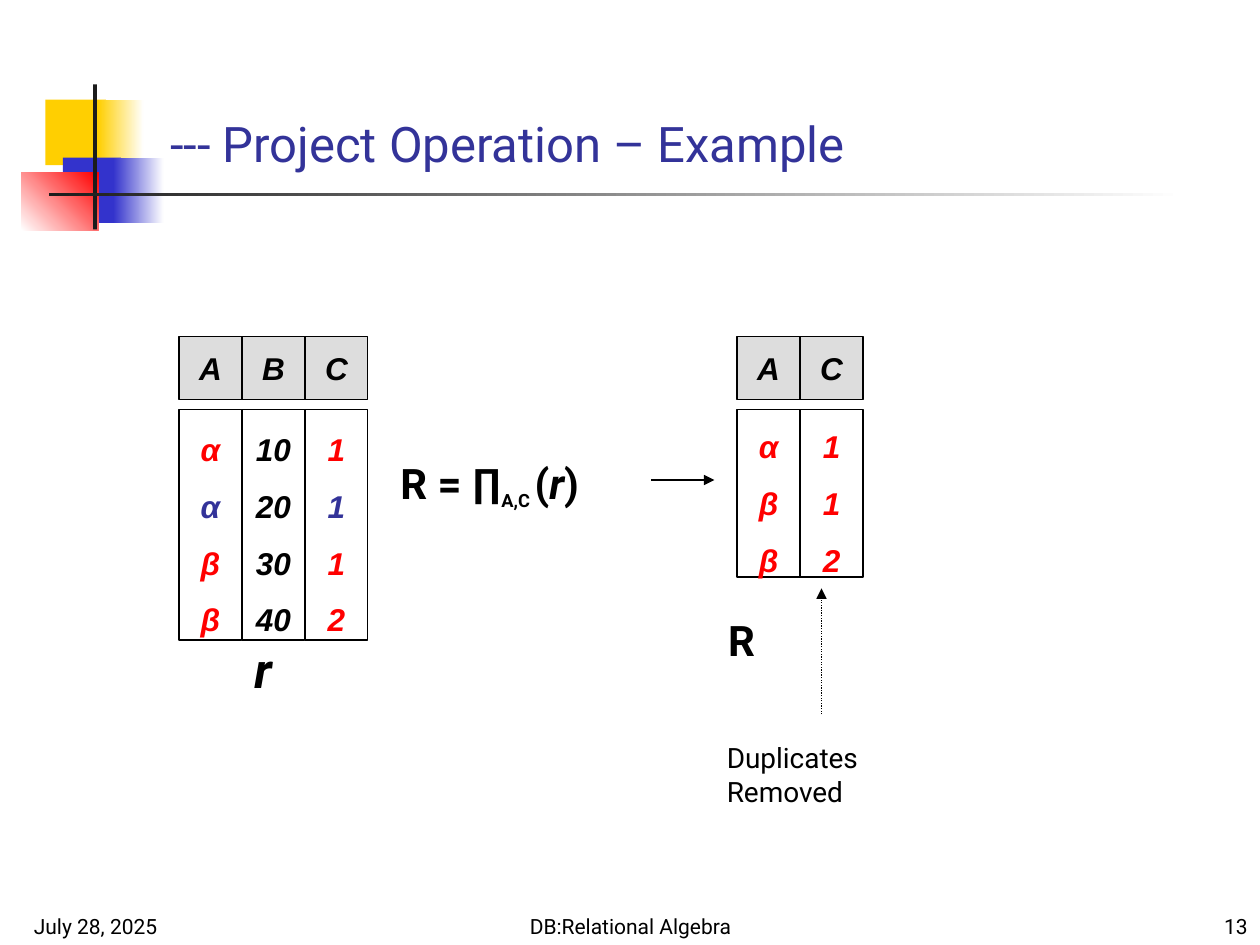
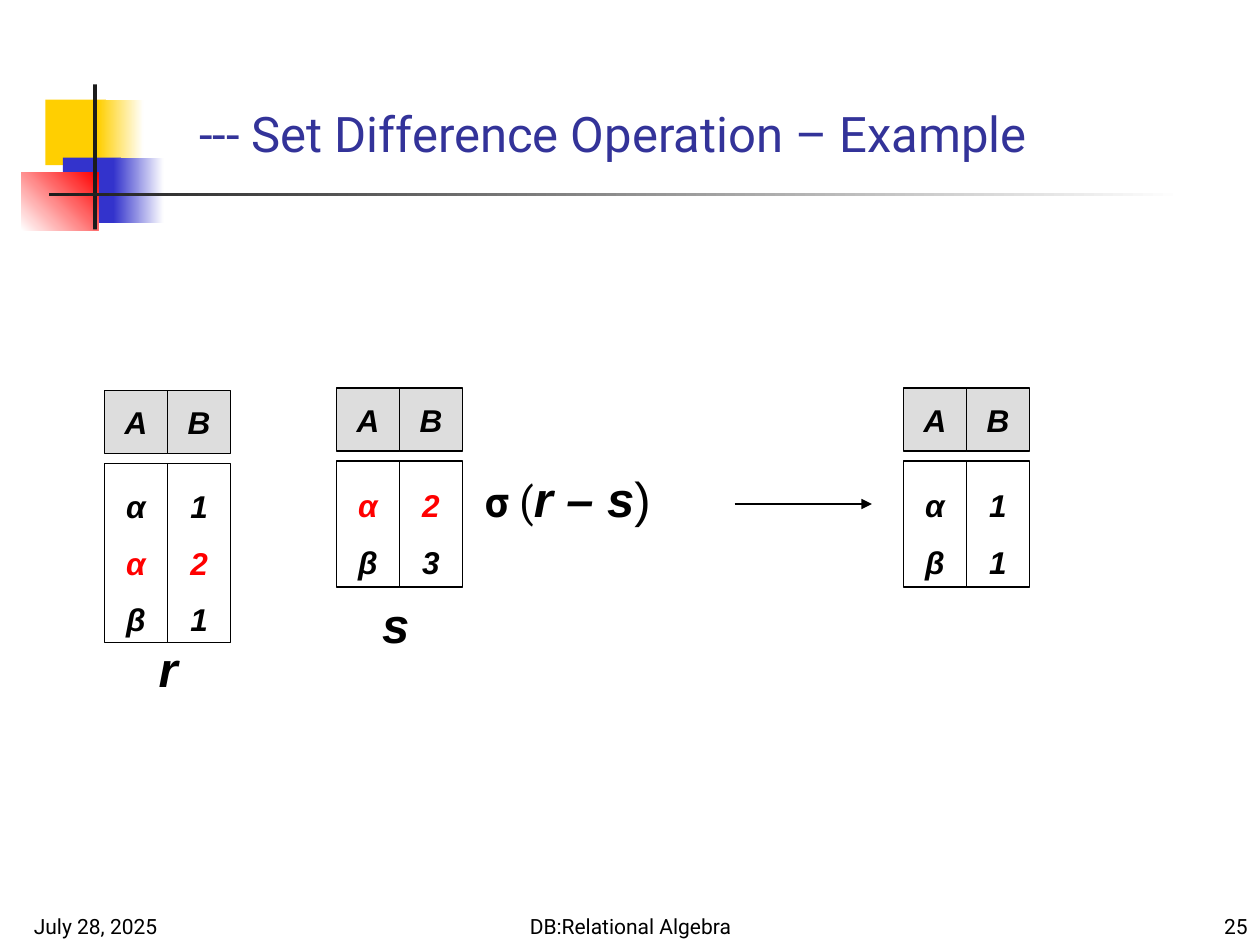
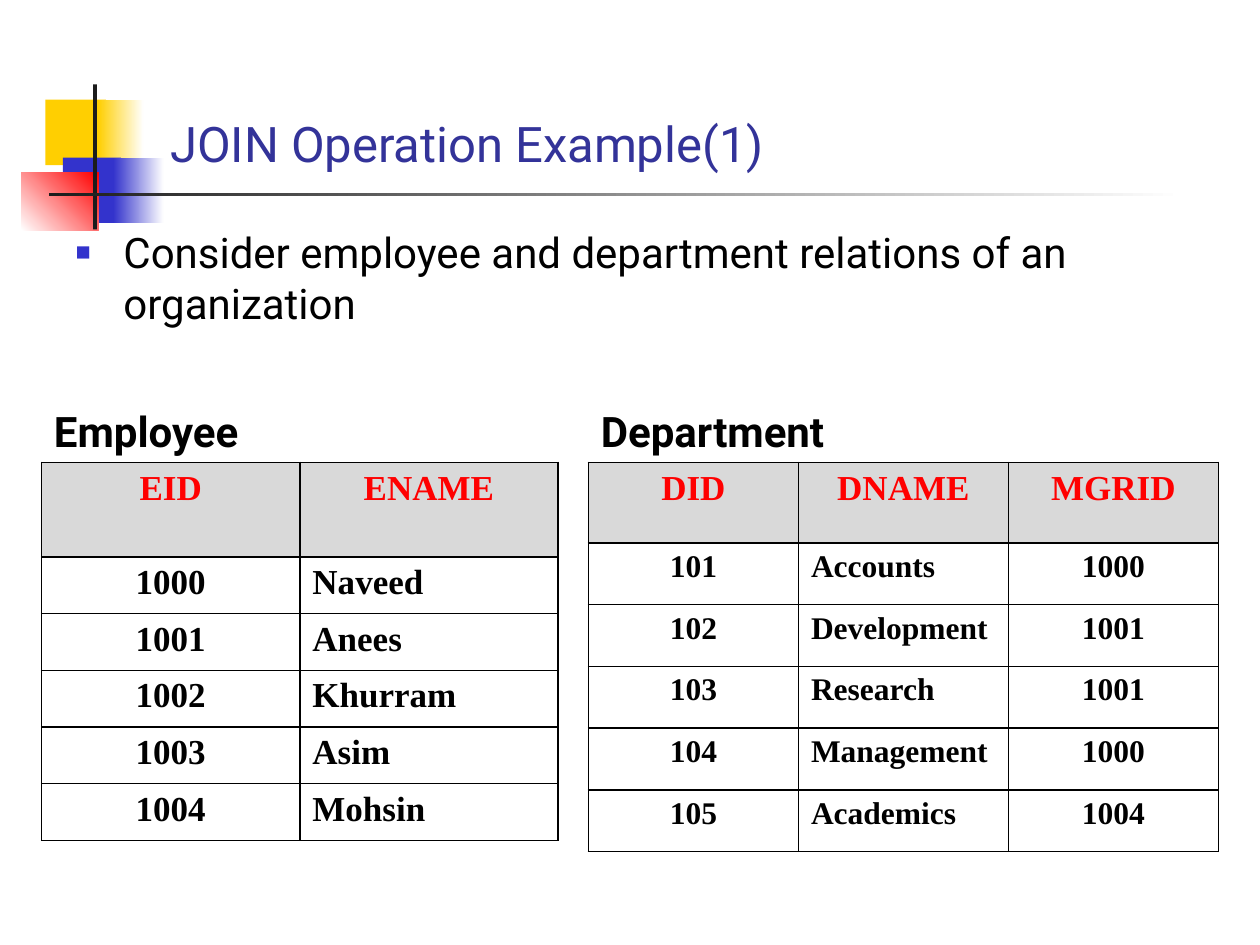
from lxml import etree
from pptx import Presentation
from pptx.dml.color import RGBColor
from pptx.enum.dml import MSO_LINE
from pptx.enum.shapes import MSO_CONNECTOR, MSO_SHAPE
from pptx.enum.text import MSO_ANCHOR, PP_ALIGN
from pptx.oxml import parse_xml
from pptx.oxml.ns import nsdecls, qn
from pptx.util import Inches, Pt

RECTANGLE = MSO_SHAPE.RECTANGLE
STRAIGHT = MSO_CONNECTOR.STRAIGHT
DOTTED = MSO_LINE.ROUND_DOT
LEFT, CENTER, RIGHT = PP_ALIGN.LEFT, PP_ALIGN.CENTER, PP_ALIGN.RIGHT
TOP, MIDDLE, BOTTOM = MSO_ANCHOR.TOP, MSO_ANCHOR.MIDDLE, MSO_ANCHOR.BOTTOM

BLACK, WHITE, RED, NAVY = "000000", "FFFFFF", "FF0000", "333399"
YELLOW, BLUE, CHARCOAL = "FFCF01", "3333CC", "1C1C1C"
HEADER_GRAY, TABLE_GRAY = "DDDDDD", "D9D9D9"
CELL = 0.5
BODY_OFFSET = 0.58

color = RGBColor.from_string


def write(frame, lines, align=LEFT, anchor=TOP, spacing=None, wrap=True, **style):
    frame.word_wrap = wrap
    frame.vertical_anchor = anchor
    for index, line in enumerate(lines):
        para = frame.add_paragraph() if index else frame.paragraphs[0]
        para.alignment = align
        if spacing:
            para.line_spacing = spacing
        for text, changes in line:
            look = {"font": "Roboto", "color": BLACK, "bold": False, "italic": False, **style, **changes}
            span = para.add_run()
            span.text = text
            span.font.name = look["font"]
            span.font.size = Pt(look["size"])
            span.font.bold = look["bold"]
            span.font.italic = look["italic"]
            span.font.color.rgb = color(look["color"])
            if "baseline" in look:
                span._r.get_or_add_rPr().set("baseline", look["baseline"])


def add_block(slide, box, fill, line=None):
    shape = slide.shapes.add_shape(RECTANGLE, *map(Inches, box))
    shape.shadow.inherit = False
    shape.fill.solid()
    shape.fill.fore_color.rgb = color(fill)
    if line:
        shape.line.color.rgb = color(line)
        shape.line.width = Pt(0.75)
    else:
        shape.line.fill.background()
    return shape


deck = Presentation()
deck.slide_width, deck.slide_height = Inches(10), Inches(7.5)
content_layout, title_layout = deck.slide_layouts[1], deck.slide_layouts[5]

titles = [
    (title_layout, "--- Project Operation – Example", 1.25, 0.75),
    (title_layout, "--- Set Difference Operation – Example", 1.48, 0.67),
    (content_layout, "JOIN Operation Example(1)", 1.25, 0.75),
]
pages = []
for layout, heading, left, top in titles:
    page = deck.slides.add_slide(layout)
    title = page.shapes.title
    title.left, title.top, title.width, title.height = map(Inches, (left, top, 8.52, 0.67))
    write(title.text_frame, [[(heading, {})]], anchor=BOTTOM, size=28, color=NAVY)
    pages.append(page)
project, difference, join = pages

ornaments = [
    ((0.36, 0.79, 0.48, 0.52), YELLOW, None, 0),
    ((0.78, 0.79, 0.36, 0.52), YELLOW, WHITE, 0),
    ((0.5, 1.25, 0.46, 0.52), BLUE, None, 0),
    ((0.9, 1.25, 0.4, 0.52), BLUE, WHITE, 0),
    ((0.17, 1.37, 0.61, 0.46), WHITE, RED, 45),
    ((0.74, 0.67, 0.03, 1.15), CHARCOAL, None, 0),
    ((0.39, 1.53, 9, 0.03), CHARCOAL, WHITE, 0),
]
for box, start, end, angle in ornaments:
    ornament = add_block(project, box, start)
    if end:
        ornament.fill.gradient()
        ornament.fill.gradient_angle = angle
        for stop, shade in zip(ornament.fill.gradient_stops, (start, end)):
            stop.color.rgb = color(shade)
    deck.slide_master.shapes.element.append(ornament.element)

for page, number in ((project, "13"), (difference, "25")):
    footers = [
        (0.17, 2.08, "July 28, 2025", LEFT),
        (3.42, 3.17, "DB:Relational Algebra", CENTER),
        (7.92, 2.08, number, RIGHT),
    ]
    for left, width, text, align in footers:
        footer = page.shapes.add_textbox(*map(Inches, (left, 7.08, width, 0.42)))
        write(footer.text_frame, [[(text, {})]], align, BOTTOM, size=12)

relations = [
    (project, 1.42, 2.67, 1.83, "ABC", "AC",
     [(RED, "α", "10", "1"), (NAVY, "α", "20", "1"), (RED, "β", "30", "1"), (RED, "β", "40", "2")]),
    (project, 5.85, 2.67, 1.33, "AC", "AC", [(RED, "α", "1"), (RED, "β", "1"), (RED, "β", "2")]),
    (difference, 0.83, 3.1, 1.42, "AB", "AB", [(BLACK, "α", "1"), (RED, "α", "2"), (BLACK, "β", "1")]),
    (difference, 2.67, 3.08, 1, "AB", "AB", [(RED, "α", "2"), (BLACK, "β", "3")]),
    (difference, 7.17, 3.08, 1, "AB", "AB", [(BLACK, "α", "1"), (BLACK, "β", "1")]),
]
for page, left, top, height, attributes, highlighted, tuples in relations:
    for column, attribute in enumerate(attributes):
        x = left + column * CELL
        values = [
            [(row[column + 1], {"color": row[0] if attribute in highlighted else BLACK})]
            for row in tuples
        ]
        parts = [
            (top, CELL, HEADER_GRAY, [[(attribute, {})]], None),
            (top + BODY_OFFSET, height, WHITE, values, 1.5),
        ]
        for y, part_height, fill, lines, spacing in parts:
            block = add_block(page, (x, y, CELL, part_height), fill, BLACK)
            write(block.text_frame, lines, CENTER, MIDDLE, spacing, False,
                  size=18, font="Arial", bold=True, italic=True)

projection = [
    ("R = ∏", {}),
    ("A,C ", {"size": 18, "baseline": "-25000"}),
    ("(", {}),
    ("r", {"italic": True}),
    (")", {}),
]
subtraction = [
    ("σ", {}),
    (" (", {"bold": False}),
    ("r – s", {"size": 28, "font": "Arial", "italic": True}),
    (")", {"size": 28, "font": "Arial", "bold": False}),
]
relation_name = {"size": 28, "italic": True}
arial_name = {**relation_name, "font": "Arial"}
plain_note = {"size": 16, "bold": False}
labels = [
    (project, (3.08, 3.58, 2, 0.64), [projection], LEFT, TOP),
    (project, (1.92, 5.03, 0.37, 0.57), [[("r", relation_name)]], LEFT, TOP),
    (project, (5.67, 5.83, 2.19, 0.37), [[("Duplicates", plain_note)], [("Removed", plain_note)]], LEFT, TOP),
    (project, (5.68, 4.83, 0.43, 0.5), [[("R", {})]], LEFT, TOP),
    (difference, (3.75, 3.67, 1.92, 0.58), [subtraction], LEFT, TOP),
    (difference, (1.16, 5.02, 0.35, 0.57), [[("r", arial_name)]], CENTER, MIDDLE),
    (difference, (2.93, 4.67, 0.42, 0.57), [[("s", arial_name)]], CENTER, MIDDLE),
    (join, (0.33, 3.17, 1.78, 0.5), [[("Employee", {})]], LEFT, MIDDLE),
    (join, (4.67, 3.17, 2.06, 0.5), [[("Department", {})]], LEFT, MIDDLE),
]
for page, box, lines, align, anchor in labels:
    label = page.shapes.add_textbox(*map(Inches, box))
    write(label.text_frame, lines, align, anchor, size=24, bold=True)

arrows = [
    (project, (5.17, 3.81, 5.67, 3.81), None),
    (project, (6.52, 5.67, 6.52, 4.67), DOTTED),
    (difference, (5.83, 4, 6.92, 4), None),
]
for page, ends, dash in arrows:
    arrow = page.shapes.add_connector(STRAIGHT, *map(Inches, ends))
    arrow.line.color.rgb = color(BLACK)
    arrow.line.width = Pt(0.75)
    if dash:
        arrow.line.dash_style = dash
    etree.SubElement(arrow.line._get_or_add_ln(), qn("a:tailEnd"), type="triangle")
    etree.SubElement(arrow.element.spPr, qn("a:effectLst"))

body = join.placeholders[1]
body.left, body.top, body.width, body.height = map(Inches, (0.5, 1.75, 9, 1.17))
bullet = body.text_frame.paragraphs[0]
bullet.space_before = Pt(0)
bullet_properties = bullet._p.get_or_add_pPr()
bullet_properties.set("marL", str(Inches(0.38)))
bullet_properties.set("indent", str(-Inches(0.38)))
for markup in (
    f'<a:buClr {nsdecls("a")}><a:srgbClr val="{BLUE}"/></a:buClr>',
    f'<a:buSzPct {nsdecls("a")} val="60000"/>',
    f'<a:buFont {nsdecls("a")} typeface="Arial"/>',
    f'<a:buChar {nsdecls("a")} char="■"/>',
):
    bullet_properties.append(parse_xml(markup))
write(body.text_frame, [[("Consider employee and department relations of an organization", {})]], size=24)

employees = [
    ("EID", "ENAME"),
    ("1000", "Naveed"),
    ("1001", "Anees"),
    ("1002", "Khurram"),
    ("1003", "Asim"),
    ("1004", "Mohsin"),
]
departments = [
    ("DID", "DNAME", "MGRID"),
    ("101", "Accounts", "1000"),
    ("102", "Development", "1001"),
    ("103", "Research", "1001"),
    ("104", "Management", "1000"),
    ("105", "Academics", "1004"),
]
tables = [
    (employees, 0.33, 4.1, 0.75, 0.45, 20),
    (departments, 4.67, 5, 0.64, 0.49, 18),
]
for records, left, width, header_height, row_height, size in tables:
    height = header_height + row_height * (len(records) - 1)
    frame = join.shapes.add_table(
        len(records), len(records[0]), *map(Inches, (left, 3.67, width, height)))
    table = frame.table
    table.first_row = table.horz_banding = False
    for row, record in enumerate(records):
        table.rows[row].height = Inches(row_height if row else header_height)
        for column, value in enumerate(record):
            cell = table.cell(row, column)
            for side in ("lnL", "lnR", "lnT", "lnB"):
                cell._tc.get_or_add_tcPr().append(parse_xml(
                    f'<a:{side} {nsdecls("a")} w="{Pt(1)}"><a:solidFill>'
                    f'<a:srgbClr val="{BLACK}"/></a:solidFill></a:{side}>'))
            if row:
                cell.fill.background()
            else:
                cell.fill.solid()
                cell.fill.fore_color.rgb = color(TABLE_GRAY)
            write(cell.text_frame, [[(value, {})]], LEFT if row and column == 1 else CENTER,
                  size=size if row else 20, font="Times New Roman", bold=True,
                  color=BLACK if row else RED)

deck.save("out.pptx")
